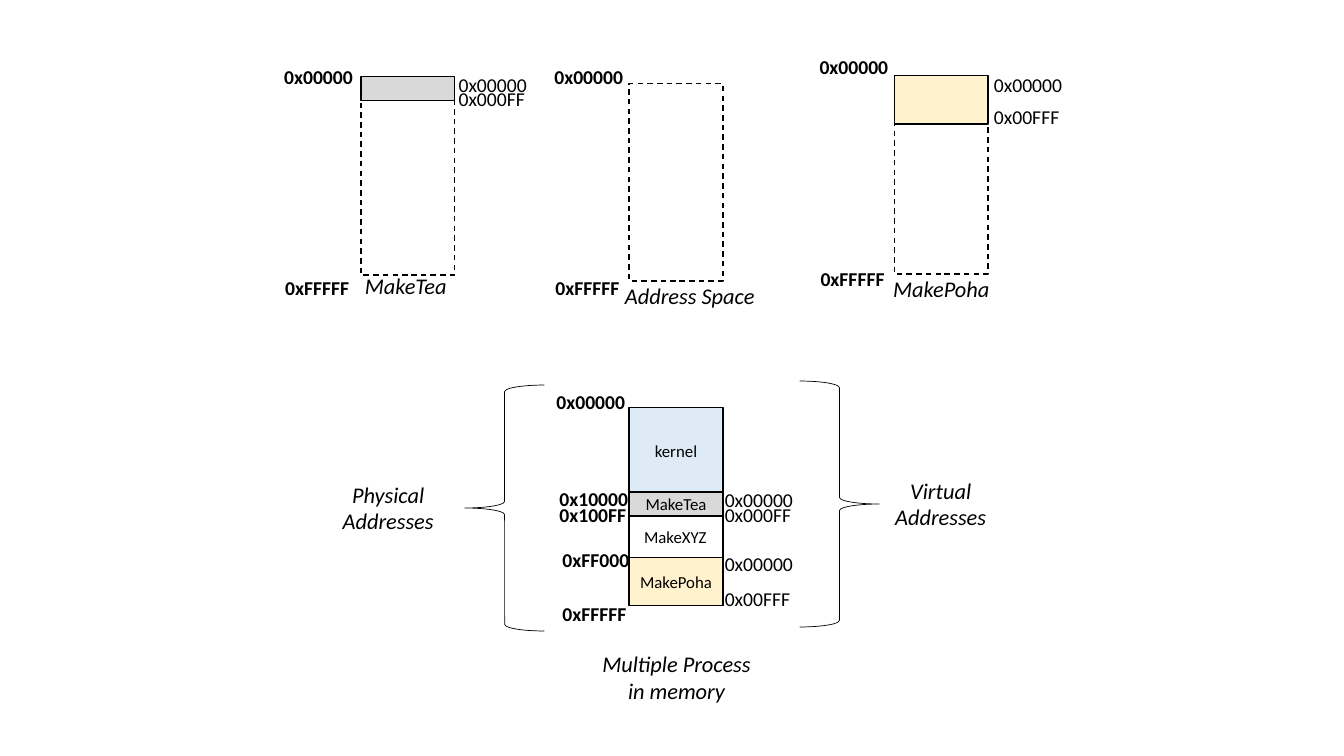
from pptx import Presentation
from pptx.dml.color import RGBColor
from pptx.enum.dml import MSO_LINE
from pptx.enum.shapes import MSO_SHAPE
from pptx.enum.text import MSO_ANCHOR, MSO_AUTO_SIZE, PP_ALIGN
from pptx.util import Emu, Pt

PX = 9144  # EMU per px, 100 px to the inch
FONT = "Calibri"
BLACK = RGBColor(0x00, 0x00, 0x00)
WHITE = RGBColor(0xFF, 0xFF, 0xFF)
GREY = RGBColor(0xD9, 0xD9, 0xD9)
CREAM = RGBColor(0xFF, 0xF2, 0xCC)
BLUE = RGBColor(0xDE, 0xEB, 0xF7)

BLOCK_W, SPACE_H = 93, 196
LABEL_W, LABEL_H = 93, 34


def px(*lengths):
    return [Emu(n * PX) for n in lengths]


def add_run(p, text, size, bold=False, italic=False):
    r = p.add_run()
    r.text = text
    r.font.name = FONT
    r.font.size = Pt(size)
    r.font.bold = bold
    r.font.italic = italic
    r.font.color.rgb = BLACK


def add_text(s, text, x, y, w, h, size, align=PP_ALIGN.LEFT, **style):
    tf = s.shapes.add_textbox(*px(x, y, w, h)).text_frame
    tf.word_wrap = True
    tf.auto_size = MSO_AUTO_SIZE.SHAPE_TO_FIT_TEXT
    p = tf.paragraphs[0]
    p.alignment = align
    add_run(p, text, size, **style)


def add_address(s, text, x, y, bold=False):
    add_text(s, text, x, y, LABEL_W, LABEL_H, 14, bold=bold)


def add_caption(s, text, x, y, w, h=37, align=PP_ALIGN.LEFT):
    add_text(s, text, x, y, w, h, 16, align, italic=True)


def add_block(s, x, y, h, fill, text="", dashed=False):
    sp = s.shapes.add_shape(MSO_SHAPE.RECTANGLE, *px(x, y, BLOCK_W, h))
    sp.shadow.inherit = False
    sp.fill.solid()
    sp.fill.fore_color.rgb = fill
    sp.line.color.rgb = BLACK
    sp.line.width = Pt(1)
    if dashed:
        sp.line.dash_style = MSO_LINE.DASH
    if text:
        tf = sp.text_frame
        tf.vertical_anchor = MSO_ANCHOR.MIDDLE
        p = tf.paragraphs[0]
        p.alignment = PP_ALIGN.CENTER
        add_run(p, text, 12)


def add_brace(s, x, y, rotation=0):
    sp = s.shapes.add_shape(MSO_SHAPE.LEFT_BRACE, *px(x, y, 79, 244))
    sp.shadow.inherit = False
    sp.fill.background()
    sp.line.color.rgb = BLACK
    sp.line.width = Pt(0.5)
    sp.rotation = rotation


def add_address_space(s, x, y, label_x, label_y):
    """Dashed address space with its first and last address."""
    add_block(s, x, y, SPACE_H, WHITE, dashed=True)
    add_address(s, "0x00000", label_x, label_y, bold=True)
    add_address(s, "0xFFFFF", label_x + 1, label_y + 210, bold=True)


def add_process_spaces(s):
    # MakeTea
    add_address_space(s, 358, 77, 272, 59)
    add_block(s, 358, 76, 24, GREY)
    add_address(s, "0x00000", 445, 67)
    add_address(s, "0x000FF", 445, 81)
    add_caption(s, "MakeTea", 352, 265, 112)

    # Empty address space
    add_address_space(s, 624, 83, 540, 59)
    add_caption(s, "Address Space", 610, 275, 152)

    # MakePoha
    add_address_space(s, 887, 76, 803, 50)
    add_block(s, 887, 75, 48, CREAM)
    add_address(s, "0x00000", 976, 67)
    add_address(s, "0x00FFF", 976, 99)
    add_caption(s, "MakePoha", 876, 268, 129)


def add_memory(s):
    # Memory blocks
    add_block(s, 624, 405, SPACE_H, WHITE)
    for text, y, h, fill in [
        ("kernel", 404, 86, BLUE),
        ("MakeTea", 488, 24, GREY),
        ("MakePoha", 553, 48, CREAM),
    ]:
        add_block(s, 624, y, h, fill, text)
    add_text(s, "MakeXYZ", 629, 518, 86, 30, 12)

    # Physical addresses
    for text, x, y in [
        ("0x00000", 542, 382),
        ("0x10000", 545, 478),
        ("0x100FF", 545, 494),
        ("0xFF000", 548, 539),
        ("0xFFFFF", 548, 592),
    ]:
        add_address(s, text, x, y, bold=True)

    # Virtual addresses
    for text, y in [
        ("0x00000", 479),
        ("0x000FF", 494),
        ("0x00000", 543),
        ("0x00FFF", 577),
    ]:
        add_address(s, text, 709, y)

    # Braces and captions
    add_brace(s, 461, 382)
    add_brace(s, 793, 378, rotation=180)
    for text, x, y in [
        ("Physical Addresses", 298, 472),
        ("Virtual Addresses", 846, 468),
        ("Multiple Process in memory", 584, 640),
    ]:
        add_caption(s, text, x, y, 174, 64, PP_ALIGN.CENTER)


def main():
    prs = Presentation()
    prs.slide_width, prs.slide_height = px(1333, 750)
    s = prs.slides.add_slide(prs.slide_layouts[6])
    add_process_spaces(s)
    add_memory(s)
    prs.save("out.pptx")


if __name__ == "__main__":
    main()
